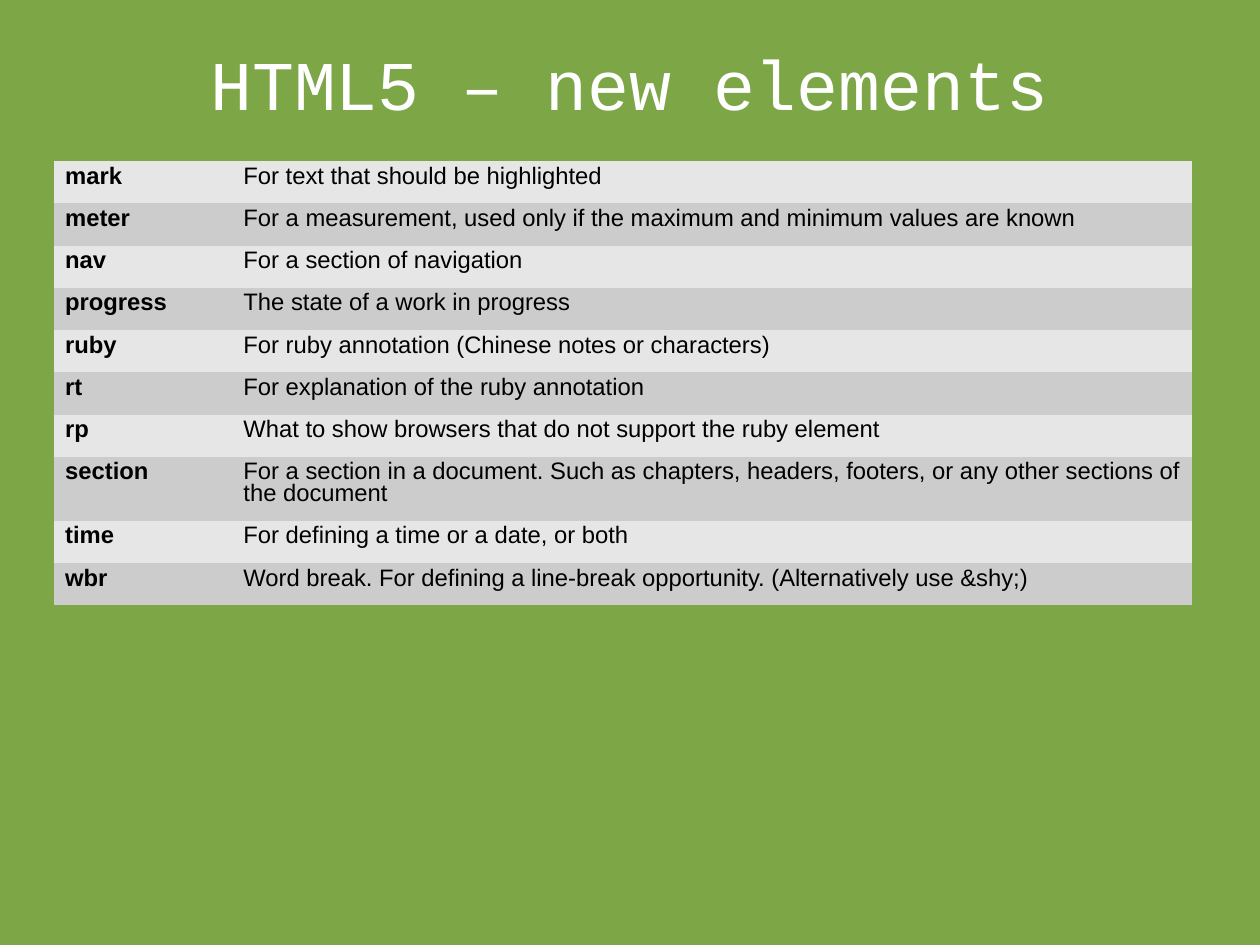
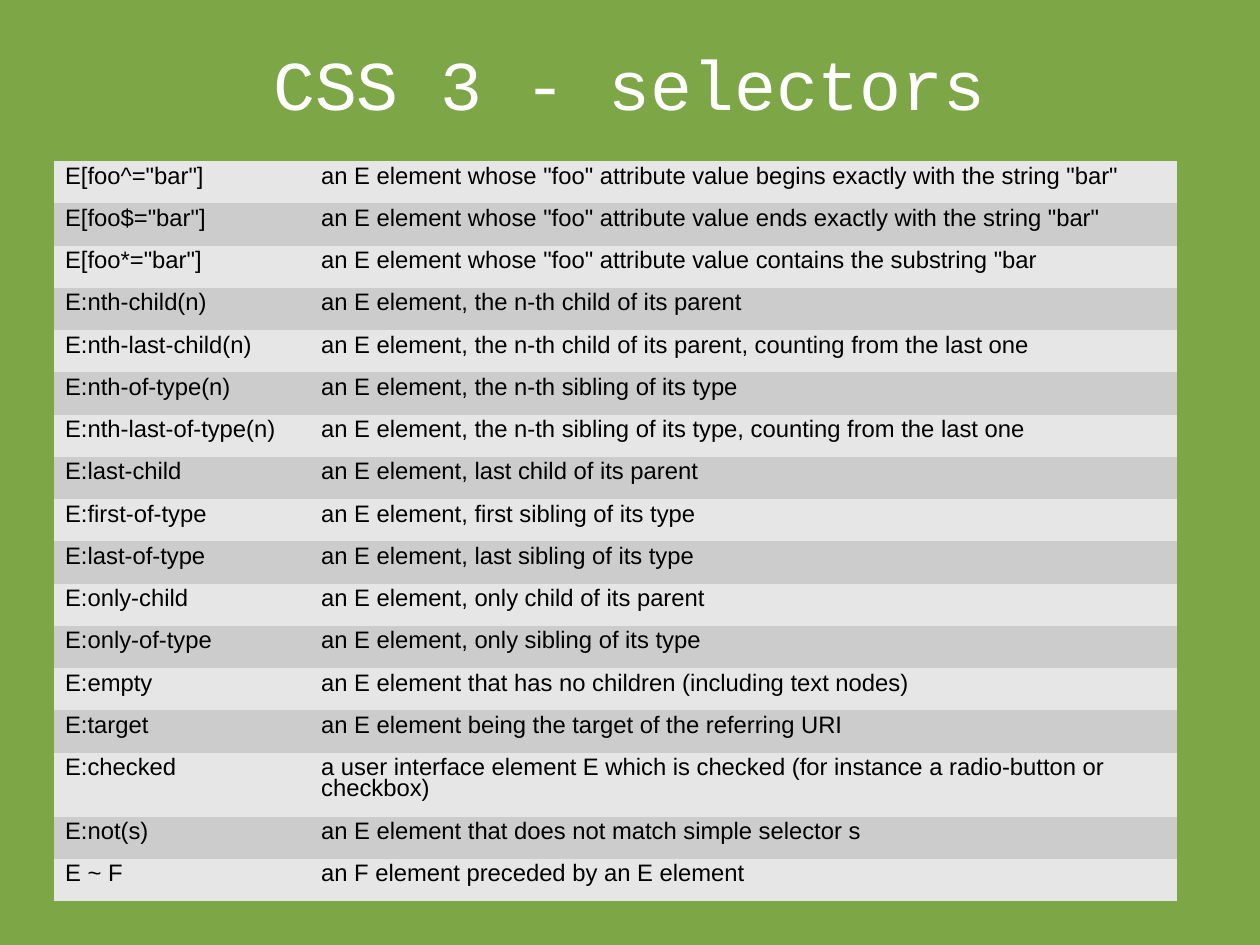
from dataclasses import dataclass

from pptx import Presentation
from pptx.dml.color import RGBColor
from pptx.enum.text import MSO_ANCHOR, MSO_AUTO_SIZE, PP_ALIGN
from pptx.oxml.ns import qn
from pptx.util import Inches, Pt

CENTER = PP_ALIGN.CENTER
MIDDLE = MSO_ANCHOR.MIDDLE
NO_FIT = MSO_AUTO_SIZE.NONE
TITLE_ONLY = 5
PLAIN_GRID = "{2D5ABB26-0587-4C30-8999-92F81FD0307C}"  # no style, no grid

# Page of 28 by 21 cm, in inches
WIDE, HIGH = 28 / 2.54, 21 / 2.54


@dataclass(frozen=True)
class Theme:
    back: str = "7DA647"
    light: str = "FFFFFF"
    dark: str = "000000"
    bands: tuple = ("E6E6E6", "CCCCCC")
    head_font: str = "Courier New"
    body_font: str = "Arial"
    head_size: int = 44
    body_size: int = 15
    head_lead: float = 0.93
    body_lead: float = 0.81


THEME = Theme()

# Table layout, in inches
LEFT, TOP = 0.47, 1.41
ROW, TALL = 0.37, 0.56
LINE_MAX = 80  # longer texts take two lines

ELEMENTS = [
    ("mark", "For text that should be highlighted"),
    ("meter", "For a measurement, used only if the maximum and minimum "
              "values are known"),
    ("nav", "For a section of navigation"),
    ("progress", "The state of a work in progress"),
    ("ruby", "For ruby annotation (Chinese notes or characters)"),
    ("rt", "For explanation of the ruby annotation"),
    ("rp", "What to show browsers that do not support the ruby element"),
    ("section", "For a section in a document. Such as chapters, headers, "
                "footers, or any other sections of the document"),
    ("time", "For defining a time or a date, or both"),
    ("wbr", "Word break. For defining a line-break opportunity. "
            "(Alternatively use &shy;)"),
]

SELECTORS = [
    ('E[foo^="bar"]', 'an E element whose "foo" attribute value begins '
                      'exactly with the string "bar"'),
    ('E[foo$="bar"]', 'an E element whose "foo" attribute value ends '
                      'exactly with the string "bar"'),
    ('E[foo*="bar"]', 'an E element whose "foo" attribute value contains '
                      'the substring "bar'),
    ("E:nth-child(n)", "an E element, the n-th child of its parent"),
    ("E:nth-last-child(n)", "an E element, the n-th child of its parent, "
                            "counting from the last one"),
    ("E:nth-of-type(n)", "an E element, the n-th sibling of its type"),
    ("E:nth-last-of-type(n)", "an E element, the n-th sibling of its type, "
                              "counting from the last one"),
    ("E:last-child", "an E element, last child of its parent"),
    ("E:first-of-type", "an E element, first sibling of its type"),
    ("E:last-of-type", "an E element, last sibling of its type"),
    ("E:only-child", "an E element, only child of its parent"),
    ("E:only-of-type", "an E element, only sibling of its type"),
    ("E:empty", "an E element that has no children (including text nodes)"),
    ("E:target", "an E element being the target of the referring URI"),
    ("E:checked", "a user interface element E which is checked "
                  "(for instance a radio-button or checkbox)"),
    ("E:not(s)", "an E element that does not match simple selector s"),
    ("E ~ F", "an F element preceded by an E element"),
]


def add_run(para, text, font, size, color, bold=False):
    run = para.add_run()
    run.text = text
    run.font.name = font
    run.font.size = Pt(size)
    run.font.bold = bold
    run.font.color.rgb = RGBColor.from_string(color)


def add_title(slide, text):
    title = slide.shapes.title
    title.left, title.top = Inches(0.55), Inches(0.34)
    title.width, title.height = Inches(9.92), Inches(0.84)
    frame = title.text_frame
    frame.auto_size = NO_FIT
    frame.vertical_anchor = MIDDLE
    frame.margin_left = frame.margin_right = 0
    frame.margin_top = frame.margin_bottom = 0
    para = frame.paragraphs[0]
    para.alignment = CENTER
    para.line_spacing = THEME.head_lead
    add_run(para, text, THEME.head_font, THEME.head_size, THEME.light)


def fill_cell(cell, text, band, bold):
    cell.fill.solid()
    cell.fill.fore_color.rgb = RGBColor.from_string(band)
    para = cell.text_frame.paragraphs[0]
    para.line_spacing = THEME.body_lead
    add_run(para, text, THEME.body_font, THEME.body_size, THEME.dark, bold)


def add_grid(slide, rows, widths, bold_keys):
    highs = [TALL if len(text) > LINE_MAX else ROW for _, text in rows]
    frame = slide.shapes.add_table(
        len(rows), len(widths), Inches(LEFT), Inches(TOP),
        Inches(sum(widths)), Inches(sum(highs)))
    table = frame.table
    table.first_row = table.horz_banding = False
    table._tbl.tblPr.find(qn("a:tableStyleId")).text = PLAIN_GRID
    for col, width in zip(table.columns, widths):
        col.width = Inches(width)
    for i, (texts, high) in enumerate(zip(rows, highs)):
        table.rows[i].height = Inches(high)
        band = THEME.bands[i % len(THEME.bands)]
        for j, text in enumerate(texts):
            fill_cell(table.cell(i, j), text, band, bold_keys and j == 0)


def add_page(deck, title, rows, widths, bold_keys=False):
    slide = deck.slides.add_slide(deck.slide_layouts[TITLE_ONLY])
    add_title(slide, title)
    add_grid(slide, rows, widths, bold_keys)


def main():
    deck = Presentation()
    deck.slide_width, deck.slide_height = Inches(WIDE), Inches(HIGH)

    # Shared background
    fill = deck.slide_master.background.fill
    fill.solid()
    fill.fore_color.rgb = RGBColor.from_string(THEME.back)

    # Slides
    add_page(deck, "HTML5 – new elements", ELEMENTS, (1.56, 8.4), True)
    add_page(deck, "CSS 3 - selectors", SELECTORS, (2.24, 7.59))
    deck.save("out.pptx")


if __name__ == "__main__":
    main()
